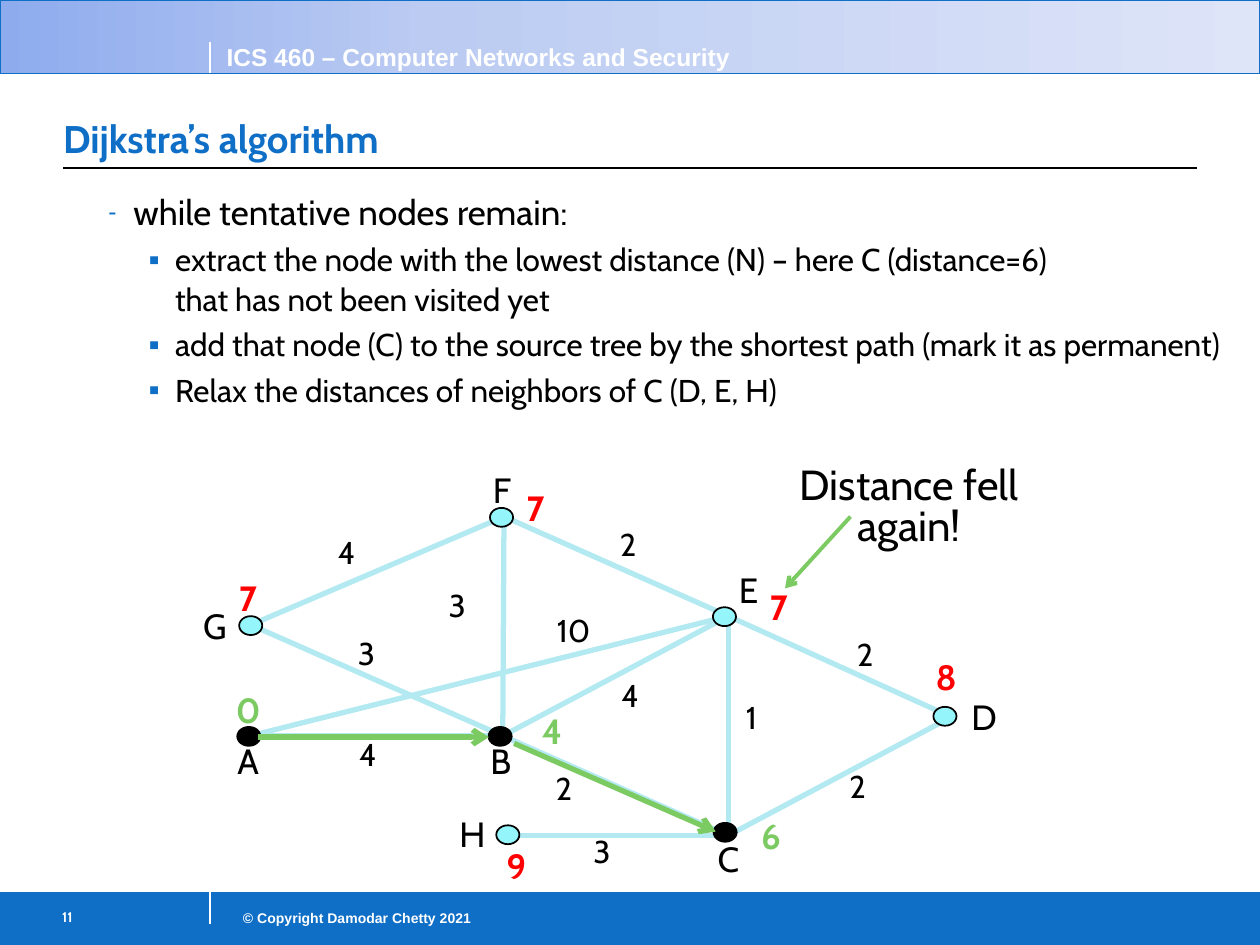
from collections import namedtuple
from copy import deepcopy
from dataclasses import dataclass

from lxml.etree import SubElement
from pptx import Presentation
from pptx.dml.color import RGBColor
from pptx.enum.shapes import MSO_CONNECTOR, MSO_SHAPE
from pptx.enum.text import MSO_ANCHOR, MSO_AUTO_SIZE, PP_ALIGN
from pptx.oxml.ns import qn
from pptx.util import Pt


@dataclass(frozen=True)
class Theme:
    font: str = "Cabin"
    banner_font: str = "Arial"
    blue: str = "0F6FC6"
    white: str = "FFFFFF"
    black: str = "000000"
    edge: str = "B3EAF2"
    tentative: str = "94F5FA"
    green: str = "7CCA62"
    red: str = "FF0000"
    banner: tuple = ((0, "8EABEE"), (0.34, "BBCBF2"), (1, "DEE5F8"))
    tiny: int = 8
    banner_size: int = 14
    small: int = 18
    medium: int = 20
    title: int = 22
    large: int = 24


THEME = Theme()
Node = namedtuple("Node", "joint marker label distance distance_at permanent")

# Points are centres; edges meet at the joint
NODES = {
    "A": Node((143, 420.5), (142.2, 420.8), (141.8, 434.5), "0", (141.8, 405.4), True),
    "B": Node((287.3, 420.5), (285.8, 420.8), (286.2, 434.5), "4", (315.4, 417.6), True),
    "C": Node((416.2, 477.4), (414.4, 475.6), (416.2, 490.7), "6", (440.6, 477.4), True),
    "D": Node((543.6, 409.7), (540, 409.3), (562.3, 409.3), "8", (540.7, 386.6), False),
    "E": Node((416.2, 352.1), (414, 352.4), (427.7, 336.6), "7", (445, 346.3), False),
    "F": Node((288, 295.2), (286.6, 295.6), (286.9, 279.7), "7", (306, 290.2), False),
    "G": Node((143.3, 357.1), (143.3, 357.5), (122.8, 357.5), "7", (141.8, 341.3), False),
    "H": Node((287.3, 477.4), (290.2, 477), (270, 476.3), "9", (295.2, 494.6), False),
}

# Ends, weight, and top left of the weight
EDGES = [
    ("AB", "4", (201.6, 419.8)),
    ("BC", "2", (313.9, 439.2)),
    ("CE", "1", (422.6, 398.9)),
    ("BE", "4", (351.4, 386.6)),
    ("AE", "10", (314.6, 349.2)),
    ("BF", "3", (252.7, 334.8)),
    ("BG", "3", (200.9, 362.2)),
    ("GF", "4", (189.4, 304.6)),
    ("FE", "2", (350.6, 300.2)),
    ("ED", "2", (486, 362.9)),
    ("CD", "2", (481.7, 438.5)),
    ("CH", "3", (335.5, 475.2)),
]

STEPS = [
    "extract the node with the lowest distance (N) – here C (distance=6)\vthat has not been visited yet",
    "add that node (C) to the source tree by the shortest path (mark it as permanent)",
    "Relax the distances of neighbors of C (D, E, H)",
]


def color(code):
    return RGBColor.from_string(code)


def style_font(font, size, code=THEME.black, bold=False, name=THEME.font):
    font.name, font.size, font.bold = name, Pt(size), bold
    font.color.rgb = color(code)


def set_frame(frame, insets, anchor=MSO_ANCHOR.TOP):
    frame.word_wrap = True
    frame.auto_size = MSO_AUTO_SIZE.NONE
    frame.vertical_anchor = anchor
    (frame.margin_left, frame.margin_top,
     frame.margin_right, frame.margin_bottom) = map(Pt, insets)


def add_text(page, area, lines, size, code=THEME.black, bold=False, name=THEME.font,
             align=PP_ALIGN.LEFT, insets=(7.2, 3.6, 7.2, 3.6),
             anchor=MSO_ANCHOR.TOP, spacing=None):
    box = page.shapes.add_textbox(*map(Pt, area))
    set_frame(box.text_frame, insets, anchor)
    box.text_frame.text = "\n".join(lines)
    for paragraph in box.text_frame.paragraphs:
        paragraph.alignment = align
        paragraph.line_spacing = spacing
        style_font(paragraph.font, size, code, bold, name)
    return box


def add_centred(page, centre, text, code=THEME.black, bold=False):
    x, y = centre
    add_text(page, (x - 20, y - 16, 40, 32), [text], THEME.medium, code, bold,
             align=PP_ALIGN.CENTER, insets=(0, 0, 0, 0), anchor=MSO_ANCHOR.MIDDLE)


def add_line(page, start, end, code, width, arrow=False):
    line = page.shapes.add_connector(MSO_CONNECTOR.STRAIGHT, *map(Pt, (*start, *end)))
    line.line.color.rgb = color(code)
    line.line.width = Pt(width)
    properties = line._element.spPr
    if arrow:
        SubElement(properties.find(qn("a:ln")), qn("a:tailEnd"), type="arrow")
    SubElement(properties, qn("a:effectLst"))


def add_solid(page, kind, area, fill, line, width):
    shape = page.shapes.add_shape(kind, *map(Pt, area))
    shape.shadow.inherit = False
    shape.fill.solid()
    shape.fill.fore_color.rgb = color(fill)
    shape.line.color.rgb = color(line)
    shape.line.width = Pt(width)
    return shape


def set_gradient(shape, stops):
    shape.fill.gradient()
    shape.fill.gradient_angle = 0
    stop_list = shape._element.spPr.find(qn("a:gradFill")).find(qn("a:gsLst"))
    while len(stop_list) < len(stops):
        stop_list.append(deepcopy(stop_list[0]))
    for stop, (position, code) in zip(shape.fill.gradient_stops, stops):
        stop.position = position
        stop.color.rgb = color(code)


def set_bullet(paragraph, mark, left, hanging, percent):
    properties = paragraph._p.get_or_add_pPr()
    properties.set("marL", str(Pt(left)))
    properties.set("indent", str(-Pt(hanging)))
    bullet_color = SubElement(properties, qn("a:buClr"))
    SubElement(bullet_color, qn("a:srgbClr"), val=THEME.blue)
    SubElement(properties, qn("a:buSzPct"), val=str(percent * 1000))
    SubElement(properties, qn("a:buFont"), typeface=THEME.banner_font)
    SubElement(properties, qn("a:buChar"), char=mark)


def add_banners(page):
    add_solid(page, MSO_SHAPE.RECTANGLE, (0, 510, 720, 30), THEME.blue, THEME.blue, 0.75)
    header = add_solid(page, MSO_SHAPE.RECTANGLE, (0, 0, 720, 42), THEME.white, THEME.blue, 0.75)
    set_gradient(header, THEME.banner)
    for y in (42, 510):
        add_line(page, (0, y), (720, y), THEME.blue, 0.5)
    for top, bottom in ((24, 42), (510, 528)):
        add_line(page, (120, bottom), (120, top), THEME.white, 0.75)
    add_line(page, (36, 96), (684, 96), THEME.black, 0.75)
    add_text(page, (122.4, 20.2, 309.6, 24.5), ["ICS 460 – Computer Networks and Security"],
             THEME.banner_size, THEME.white, True, THEME.banner_font)
    add_text(page, (120, 516.2, 156.5, 17.3), ["© Copyright Damodar Chetty 2021"],
             THEME.tiny, THEME.white, True, THEME.banner_font, PP_ALIGN.RIGHT)
    add_text(page, (24, 514, 96, 25), ["11"], THEME.tiny, THEME.white, True,
             insets=(11.5, 5, 7.2, 3.6))


def set_title(page, text):
    title = page.shapes.title
    title.left, title.top, title.width, title.height = map(Pt, (36, 44, 648, 52))
    set_frame(title.text_frame, (0, 3.6, 0, 3.6), MSO_ANCHOR.BOTTOM)
    title.text_frame.text = text
    paragraph = title.text_frame.paragraphs[0]
    paragraph.alignment = PP_ALIGN.LEFT
    style_font(paragraph.font, THEME.title, THEME.blue, True)


def add_steps(page):
    box = add_text(page, (36, 104.4, 684, 140), ["while tentative nodes remain:", *STEPS],
                   THEME.small, insets=(3.6, 3.6, 3.6, 3.6), spacing=1.04)
    heading, *steps = box.text_frame.paragraphs
    heading.font.size = Pt(THEME.medium)
    heading.space_before = Pt(4)
    set_bullet(heading, "-", 36.7, 14.4, 70)
    for step in steps:
        step.level = 1
        step.space_before = Pt(3.6)
        set_bullet(step, "▪", 60.5, 15.1, 100)


def add_graph(page):
    for (start, end), _, _ in EDGES:
        add_line(page, NODES[start].joint, NODES[end].joint, THEME.edge, 3)
    for name, node in NODES.items():
        x, y = node.marker
        fill = THEME.black if node.permanent else THEME.tentative
        add_solid(page, MSO_SHAPE.OVAL, (x - 6.6, y - 5.4, 13.2, 10.8), fill, THEME.black, 1)
        add_centred(page, node.label, name)
        add_centred(page, node.distance_at, node.distance,
                    THEME.green if node.permanent else THEME.red, True)
    for _, weight, corner in EDGES:
        add_text(page, (*corner, 13 + 14 * len(weight), 21.6), [weight], THEME.small,
                 insets=(3.6, 0, 3.6, 0))
    # Shortest path tree
    add_line(page, (147.6, 421.2), (279.4, 421.2), THEME.green, 3, arrow=True)
    add_line(page, (293.8, 424.8), (409, 475.2), THEME.green, 3, arrow=True)


def add_callout(page):
    add_line(page, (486, 295.2), (448.6, 336.2), THEME.green, 2.25, arrow=True)
    add_text(page, (419, 264.2, 200.9, 54.7), ["Distance fell", "again!"], THEME.large,
             align=PP_ALIGN.CENTER, spacing=0.8)


def main():
    deck = Presentation()
    deck.slide_width, deck.slide_height = Pt(720), Pt(540)
    page = deck.slides.add_slide(deck.slide_layouts[5])
    add_banners(page)
    set_title(page, "Dijkstra’s algorithm")
    add_steps(page)
    add_graph(page)
    add_callout(page)
    deck.save("out.pptx")


if __name__ == "__main__":
    main()
